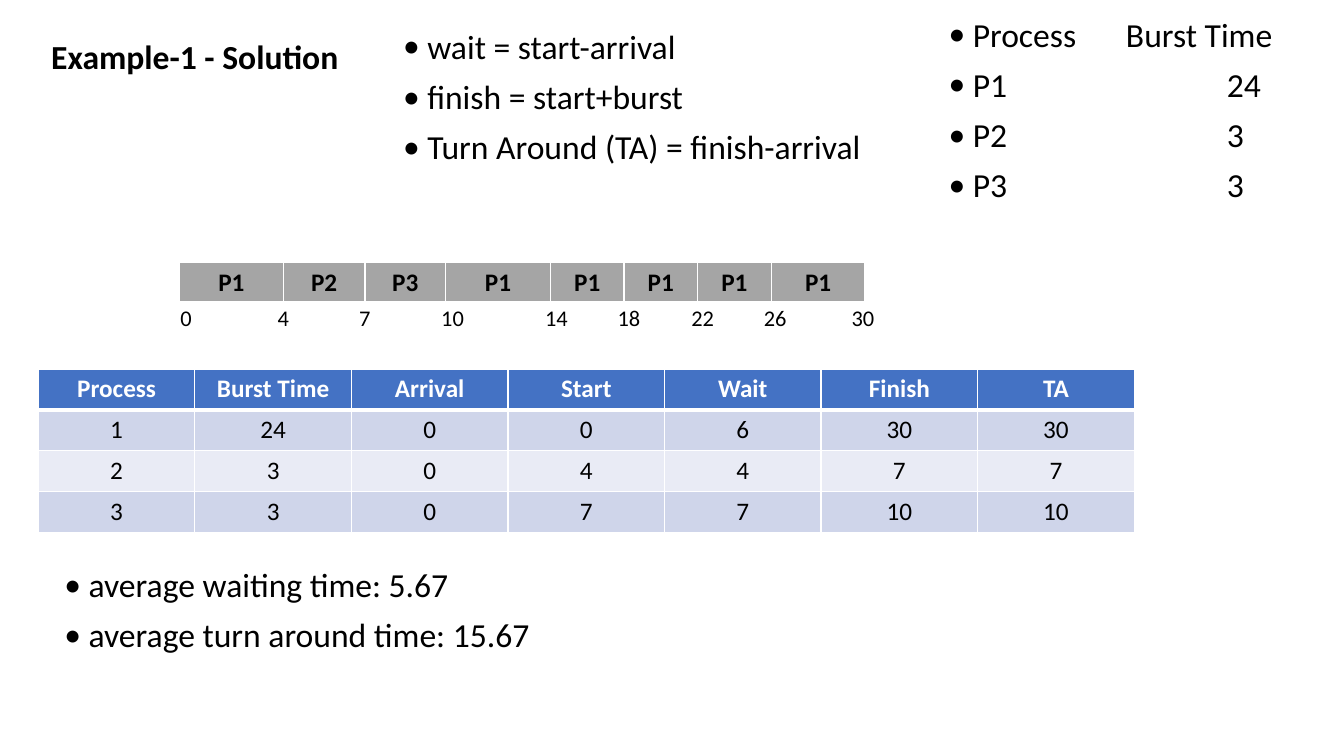
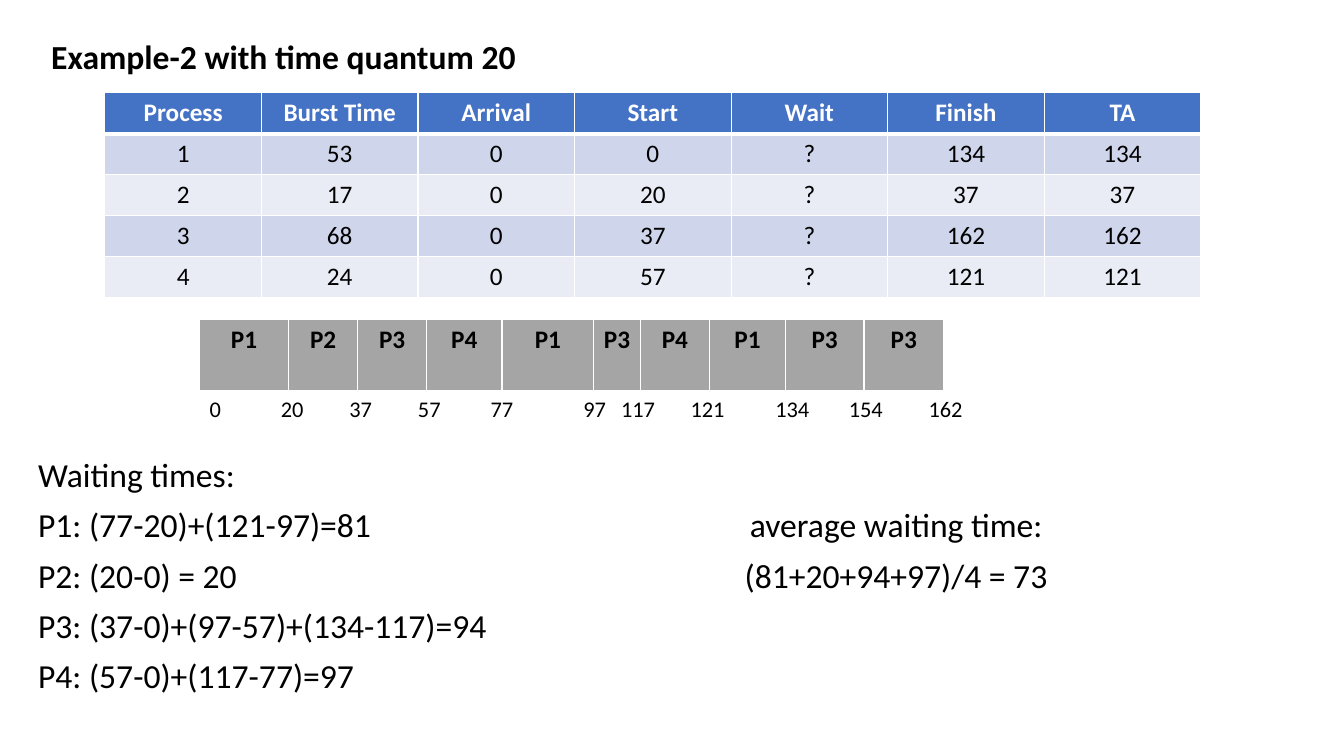
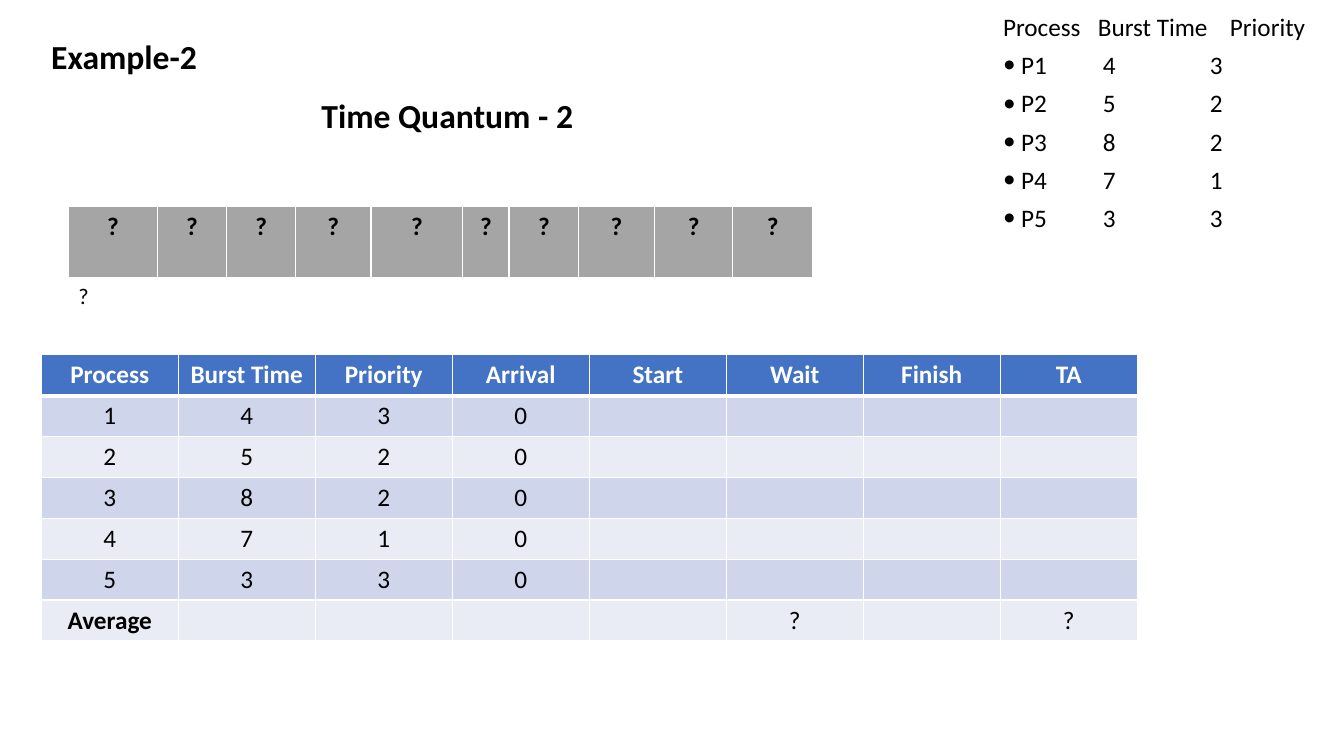
from dataclasses import dataclass
from itertools import accumulate

from lxml.etree import SubElement
from pptx import Presentation
from pptx.dml.color import RGBColor
from pptx.enum.text import PP_ALIGN as Align
from pptx.oxml.ns import qn
from pptx.slide import Slide
from pptx.table import Table, _Cell as Cell
from pptx.text.text import _Paragraph as Paragraph
from pptx.util import Inches, Pt

FONT = "Calibri"
COLORS = {
    "text": "000000",
    "header": "4472C4",
    "header_text": "FFFFFF",
    "band_dark": "CFD5EA",
    "band_light": "E9EBF5",
    "gantt": "A5A5A5",
    "border": "FFFFFF",
}
HANGING = 0.24  # bullet indent at 24 pt
TABLE_WIDTH = 10.87
TIMELINE = (0.88, 0.69, 0.68, 0.75, 0.91, 0.46, 0.69, 0.75, 0.78, 0.79)


@dataclass(frozen=True)
class Box:
    left: float
    top: float
    width: float
    height: float


@dataclass(frozen=True)
class Line:
    text: str
    bullet: bool = False
    stops: tuple[float, ...] = ()
    centered_stops: bool = False


@dataclass(frozen=True)
class Gantt:
    box: Box
    widths: tuple[float, ...]
    processes: tuple[str, ...]
    marks_box: Box
    marks: Line


# Text
def add_run(paragraph: Paragraph, text: str, size: float,
            bold: bool = False, color: str = "text") -> None:
    run = paragraph.add_run()
    run.text = text
    run.font.name = FONT
    run.font.size = Pt(size)
    run.font.bold = bold
    run.font.color.rgb = RGBColor.from_string(COLORS[color])


def set_bullet(paragraph: Paragraph, size: float) -> None:
    indent = Inches(HANGING * size / 24)
    properties = paragraph._p.get_or_add_pPr()
    properties.set("marL", str(indent))
    properties.set("indent", str(-indent))
    SubElement(properties, qn("a:buFont"), typeface=FONT)
    SubElement(properties, qn("a:buChar"), char="•")


def set_stops(paragraph: Paragraph, line: Line) -> None:
    stop_list = SubElement(paragraph._p.get_or_add_pPr(), qn("a:tabLst"))
    for stop in line.stops:
        SubElement(stop_list, qn("a:tab"), pos=str(Inches(stop)),
                   algn="ctr" if line.centered_stops else "l")


def add_lines(slide: Slide, box: Box, lines: list[Line], size: float = 24,
              spacing: float = 0.9, before: float = 10, bold: bool = False) -> None:
    frame = slide.shapes.add_textbox(
        Inches(box.left), Inches(box.top), Inches(box.width), Inches(box.height)).text_frame
    frame.word_wrap = True
    for index, line in enumerate(lines):
        paragraph = frame.add_paragraph() if index else frame.paragraphs[0]
        paragraph.line_spacing = spacing
        paragraph.space_before = Pt(before)
        if line.bullet:
            set_bullet(paragraph, size)
        if line.stops:
            set_stops(paragraph, line)
        add_run(paragraph, line.text, size, bold)


def add_heading(slide: Slide, text: str, left: float = 0.41, top: float = 0.31,
                width: float = 6.26) -> None:
    add_lines(slide, Box(left, top, width, 0.5), [Line(text)],
              spacing=1.0, before=0, bold=True)


# Tables
def fill_cell(cell: Cell, text: str, fill: str, bold: bool = False,
              color: str = "text", bottom: float = 1) -> None:
    properties = cell._tc.get_or_add_tcPr()
    for side, width in (("L", 1), ("R", 1), ("T", 1), ("B", bottom)):
        edge = SubElement(properties, qn(f"a:ln{side}"), w=str(Pt(width)))
        SubElement(SubElement(edge, qn("a:solidFill")), qn("a:srgbClr"), val=COLORS["border"])
    cell.fill.solid()
    cell.fill.fore_color.rgb = RGBColor.from_string(COLORS[fill])
    paragraph = cell.text_frame.paragraphs[0]
    paragraph.alignment = Align.CENTER
    if text:
        add_run(paragraph, text, 18, bold, color)


def new_table(slide: Slide, box: Box, rows: int, widths: tuple[float, ...]) -> Table:
    table = slide.shapes.add_table(
        rows, len(widths), Inches(box.left), Inches(box.top),
        Inches(box.width), Inches(box.height)).table
    table.horz_banding = False
    for column, width in zip(table.columns, widths):
        column.width = Inches(width)
    return table


def add_process_table(slide: Slide, left: float, top: float, height: float,
                      header: tuple[str, ...], rows: list[tuple[str, ...]]) -> None:
    widths = (TABLE_WIDTH / len(header),) * len(header)
    table = new_table(slide, Box(left, top, TABLE_WIDTH, height), len(rows) + 1, widths)
    for column, title in enumerate(header):
        fill_cell(table.cell(0, column), title, "header", True, "header_text", bottom=3)
    for number, row in enumerate(rows, start=1):
        band = "band_dark" if number % 2 else "band_light"
        for column, value in enumerate(row):
            fill_cell(table.cell(number, column), value, band, bold=value == "Average")


def add_gantt(slide: Slide, gantt: Gantt) -> None:
    table = new_table(slide, gantt.box, 1, gantt.widths)
    table.first_row = False
    for column, process in enumerate(gantt.processes):
        fill_cell(table.cell(0, column), process, "gantt", bold=True, bottom=3)
    add_lines(slide, gantt.marks_box, [gantt.marks], size=16)


def time_marks(times: tuple[int, ...], gaps: tuple[float, ...]) -> Line:
    stops = tuple(round(stop, 2) for stop in accumulate(gaps))
    return Line("\t".join(map(str, times)), stops=stops, centered_stops=True)


deck = Presentation()
deck.slide_width, deck.slide_height = Inches(13.33), Inches(7.5)
blank = deck.slide_layouts[6]
HEADER = ("Process", "Burst Time", "Arrival", "Start", "Wait", "Finish", "TA")

# Slide 1: solution of the first example
solution = deck.slides.add_slide(blank)
add_lines(solution, Box(9.31, 0.13, 3.9, 2), [
    Line("Process\tBurst Time", True, (2 - HANGING,)),
    *(Line(f"{process}\t{burst}", True, (3 - HANGING,))
      for process, burst in (("P1", 24), ("P2", 3), ("P3", 3))),
])
add_heading(solution, "Example-1 - Solution")
add_gantt(solution, Gantt(
    Box(1.78, 2.6, 6.81, 0.4), (1.03, 0.81, 0.8, 1.04, 0.73, 0.73, 0.73, 0.93),
    ("P1", "P2", "P3", "P1", "P1", "P1", "P1", "P1"),
    Box(1.69, 3, 7.16, 0.72),
    time_marks((0, 4, 7, 10, 14, 18, 22, 26, 30),
               (1.02, 0.81, 0.87, 1.03, 0.72, 0.73, 0.72, 0.87))))
add_lines(solution, Box(3.9, 0.25, 5.16, 1.68), [
    Line("wait = start-arrival", True),
    Line("finish = start+burst", True),
    Line("Turn Around (TA) = finish-arrival", True),
])
add_process_table(solution, 0.38, 3.66, 1.62, HEADER, [
    ("1", "24", "0", "0", "6", "30", "30"),
    ("2", "3", "0", "4", "4", "7", "7"),
    ("3", "3", "0", "7", "7", "10", "10"),
])
add_lines(solution, Box(0.54, 5.59, 10.87, 0.98), [
    Line("average waiting time: 5.67", True),
    Line("average turn around time: 15.67", True),
])

# Slide 2: second example with waiting times
quantum = deck.slides.add_slide(blank)
add_heading(quantum, "Example-2 with time quantum 20", width=7.08)
add_gantt(quantum, Gantt(
    Box(1.98, 3.17, 7.39, 0.72), TIMELINE,
    ("P1", "P2", "P3", "P4", "P1", "P3", "P4", "P1", "P3", "P3"),
    Box(1.98, 3.9, 8.13, 0.72),
    time_marks((0, 20, 37, 57, 77, 97, 117, 121, 134, 154, 162),
               (0.82, 0.68, 0.68, 0.72, 0.92, 0.43, 0.69, 0.84, 0.73, 0.79))))
add_process_table(quantum, 1.04, 0.92, 2.03, HEADER, [
    ("1", "53", "0", "0", "?", "134", "134"),
    ("2", "17", "0", "20", "?", "37", "37"),
    ("3", "68", "0", "37", "?", "162", "162"),
    ("4", "24", "0", "57", "?", "121", "121"),
])
AVERAGE_CENTER = (8.51,)
add_lines(quantum, Box(0.28, 4.5, 10.87, 2.54), [
    Line("Waiting times:"),
    Line("P1: (77-20)+(121-97)=81\taverage waiting time:", False, AVERAGE_CENTER, True),
    Line("P2: (20-0) = 20\t(81+20+94+97)/4 = 73", False, AVERAGE_CENTER, True),
    Line("P3: (37-0)+(97-57)+(134-117)=94"),
    Line("P4: (57-0)+(117-77)=97"),
])

# Slide 3: exercise with priorities
exercise = deck.slides.add_slide(blank)
jobs = ((4, 3), (5, 2), (8, 2), (7, 1), (3, 3))
add_heading(exercise, "Example-2", width=1.86)
add_gantt(exercise, Gantt(
    Box(0.68, 2.05, 7.39, 0.72), TIMELINE, ("?",) * len(TIMELINE),
    Box(0.68, 2.78, 8.13, 0.72), Line("?")))
add_process_table(
    exercise, 0.41, 3.52, 2.84, (*HEADER[:2], "Priority", *HEADER[2:]),
    [(str(number), str(burst), str(priority), "0", "", "", "", "")
     for number, (burst, priority) in enumerate(jobs, start=1)]
    + [("Average", "", "", "", "", "?", "", "?")])
job_indent = HANGING * 18 / 24
add_lines(exercise, Box(9.85, 0.12, 3.42, 2.41), [
    Line("Process\tBurst Time\tPriority", stops=(0.94, 2.25)),
    *(Line(f"P{number}\t{burst}\t{priority}", True, (1.17 - job_indent, 2.23 - job_indent))
      for number, (burst, priority) in enumerate(jobs, start=1)),
], size=18, spacing=0.8)
add_heading(exercise, "Time Quantum - 2", left=3.09, top=0.89, width=2.86)

deck.save("out.pptx")
